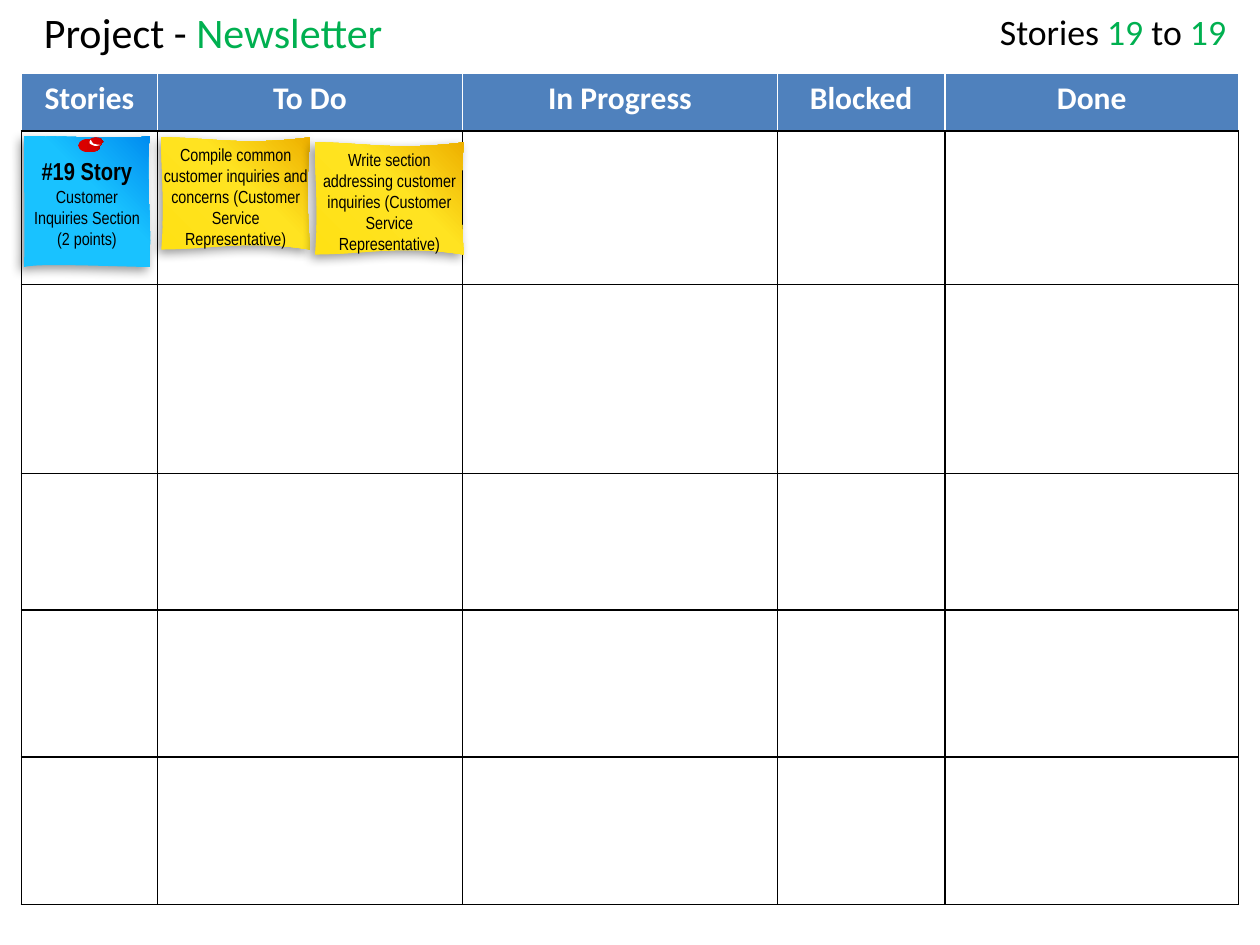
from lxml import etree
from pptx import Presentation
from pptx.dml.color import RGBColor
from pptx.enum import shapes, text
from pptx.oxml import parse_xml
from pptx.oxml.ns import nsdecls, qn
from pptx.util import Inches, Pt

BLACK = RGBColor(0, 0, 0)
WHITE = RGBColor(255, 255, 255)
GREEN = RGBColor(0x00, 0xB0, 0x50)
BLUE = RGBColor(0x4F, 0x81, 0xBD)
BLUE_NOTE = [(0, "19C2FF"), (58, "19C2FF"), (100, "008CF0")]
GOLD_NOTE = [(0, "FFE115"), (58, "FFE321"), (100, "EEB000")]
RED_PIN = [(0, "DA0000"), (80, "D60000"), (100, "AC0000")]

TITLE = [("Project - ", BLACK), ("Newsletter", GREEN)]
RANGE = [("Stories ", BLACK), ("19", GREEN), (" to ", BLACK), ("19", GREEN)]
COLS = [("Stories", 1.08), ("To Do", 2.42), ("In Progress", 2.5),
        ("Blocked", 1.33), ("Done", 2.33)]
ROWS = [0.46, 1.22, 1.5, 1.08, 1.17, 1.17]
STORY = [("#19 Story", 14, True),
         ("Customer Inquiries Section (2 points)", 10, False)]
TASKS = [
    (1.28, 1.09, "Compile common customer inquiries and concerns "
                 "(Customer Service Representative)"),
    (2.5, 1.13, "Write section addressing customer inquiries "
                "(Customer Service Representative)"),
]
# Outlines: a start point, then cubic curves of two handles and an end
STORY_EDGE = [(0.19, 1.08),
              (0.52, 1.08), (1.03, 1.11), (1.19, 1.08),
              (1.15, 1.31), (1.21, 1.91), (1.19, 2.12),
              (0.74, 2.11), (0.29, 2.09), (0.19, 2.12),
              (0.2, 1.93), (0.19, 1.43), (0.19, 1.08)]
TASK_EDGE = [(0, 0),
             (0.39, 0), (0.63, 0.07), (1.18, 0),
             (1.15, 0.44), (1.16, 0.54), (1.18, 0.89),
             (0.67, 0.81), (0.39, 0.89), (0, 0.89),
             (0.03, 0.49), (0, 0.3), (0, 0)]
SHINE_EDGE = [(0.72, 1.11),
              (0.72, 1.1), (0.72, 1.12), (0.74, 1.14),
              (0.77, 1.15), (0.8, 1.15), (0.8, 1.15),
              (0.79, 1.15), (0.76, 1.17), (0.73, 1.15),
              (0.69, 1.14), (0.72, 1.11), (0.72, 1.11)]
PINS = [(0.62, 1.1, 0.18, 0.11), (0.7, 1.09, 0.12, 0.07)]
UNITS = 1000  # path units to the inch

deck = Presentation()
deck.slide_width, deck.slide_height = Inches(10), Inches(7.5)
slide = deck.slides.add_slide(deck.slide_layouts[6])


def style(font, name, size, color, bold=False):
    font.name, font.size, font.bold = name, Pt(size), bold
    font.color.rgb = color


def inset(frame, *sides):
    (frame.margin_left, frame.margin_top,
     frame.margin_right, frame.margin_bottom) = map(Inches, sides)


def add_box(box):
    frame = slide.shapes.add_textbox(*map(Inches, box)).text_frame
    frame.word_wrap = True
    return frame


def add_line(box, runs, size, align):
    frame = add_box(box)
    frame.vertical_anchor = text.MSO_ANCHOR.MIDDLE
    para = frame.paragraphs[0]
    para.alignment = align
    for words, color in runs:
        run = para.add_run()
        run.text = words
        style(run.font, "Calibri", size, color)


def border(cell, colors):
    """Set 1 pt left, right, top and bottom borders."""
    for i, (side, color) in enumerate(zip("LRTB", colors)):
        cell._tc.get_or_add_tcPr().insert(i, parse_xml(
            f'<a:ln{side} {nsdecls("a")} w="12700"><a:solidFill>'
            f'<a:srgbClr val="{color}"/></a:solidFill></a:ln{side}>'))


def add_board():
    board = slide.shapes.add_table(
        len(ROWS), len(COLS), Inches(0.17), Inches(0.58),
        Inches(sum(w for _, w in COLS)), Inches(sum(ROWS))).table
    for row, height in zip(board.rows, ROWS):
        row.height = Inches(height)
    for c, (name, width) in enumerate(COLS):
        board.columns[c].width = Inches(width)
        for r in range(1, len(ROWS)):
            cell = board.cell(r, c)
            cell.fill.background()
            border(cell, [BLACK] * 4)
        head = board.cell(0, c)
        head.fill.solid()
        head.fill.fore_color.rgb = BLUE
        border(head, [WHITE, WHITE, WHITE, BLACK])
        inset(head, 0.1, 0.05, 0.1, 0.1)
        head.text = name
        para = head.text_frame.paragraphs[0]
        para.alignment = text.PP_ALIGN.CENTER
        style(para.font, "Calibri", 18, WHITE, True)


def blend(shape, stops, angle):
    """Fill with a gradient; drop the outline and shadow."""
    shape.fill.gradient()
    props = shape._element.spPr
    marks = "".join(f'<a:gs pos="{at * 1000}"><a:srgbClr val="{color}"/></a:gs>'
                    for at, color in stops)
    props.replace(props.find(qn("a:gradFill")), parse_xml(
        f'<a:gradFill {nsdecls("a")} rotWithShape="1"><a:gsLst>{marks}</a:gsLst>'
        f'<a:lin ang="{angle * 60000}" scaled="0"/></a:gradFill>'))
    shape.line.fill.background()
    shape.shadow.inherit = False


def add_curve(edge, left=0, top=0):
    """Build a freeform on the curve ends, then bend its sides."""
    spots = [(round((left + x) * UNITS), round((top + y) * UNITS))
             for x, y in edge]
    ends = spots[::3]
    pen = slide.shapes.build_freeform(*ends[0], scale=Inches(1) / UNITS)
    pen.add_line_segments(ends[1:], close=True)
    shape = pen.convert_to_shape()
    x0, y0 = (min(axis) for axis in zip(*ends))
    sides = list(shape._element.iter(qn("a:lnTo")))
    for i, side in enumerate(sides):
        bend = etree.Element(qn("a:cubicBezTo"))
        for x, y in spots[3 * i + 1:3 * i + 4]:
            etree.SubElement(bend, qn("a:pt"), x=str(x - x0), y=str(y - y0))
        side.getparent().replace(side, bend)
    return shape


def add_note(edge, stops, left=0, top=0):
    note = add_curve(edge, left, top)
    blend(note, stops, 315)
    glow = note._element.spPr.find(qn("a:effectLst"))
    cast = etree.SubElement(glow, qn("a:outerShdw"), blurRad="76200",
                            dist="38100", dir="8100000", rotWithShape="0")
    ink = etree.SubElement(cast, qn("a:srgbClr"), val=str(BLACK))
    etree.SubElement(ink, qn("a:alpha"), val="40000")
    return note


def write(frame, lines):
    frame.word_wrap = True
    frame.vertical_anchor = text.MSO_ANCHOR.TOP
    for i, (words, size, bold) in enumerate(lines):
        para = frame.add_paragraph() if i else frame.paragraphs[0]
        para.text = words
        para.alignment = text.PP_ALIGN.CENTER
        style(para.font, "Arial Narrow", size, BLACK, bold)


add_line((0.25, 0, 7.67, 0.5), TITLE, 24, text.PP_ALIGN.LEFT)
add_board()
add_line((7.73, 0, 2.1, 0.5), RANGE, 20.4, text.PP_ALIGN.RIGHT)

add_note(STORY_EDGE, BLUE_NOTE)
label = add_box((0.22, 1.24, 0.94, 0.74))
inset(label, 0, 0, 0, 0)
write(label, STORY)
for box in PINS:
    pin = slide.shapes.add_shape(shapes.MSO_SHAPE.OVAL, *map(Inches, box))
    blend(pin, RED_PIN, 0)
shine = add_curve(SHINE_EDGE)
shine.fill.solid()
shine.fill.fore_color.rgb = WHITE
shine.line.fill.background()
shine.shadow.inherit = False

for left, top, words in TASKS:
    frame = add_note(TASK_EDGE, GOLD_NOTE, left, top).text_frame
    inset(frame, 0, 0.05, 0, 0)
    write(frame, [(words, 10, False)])

deck.save("out.pptx")
